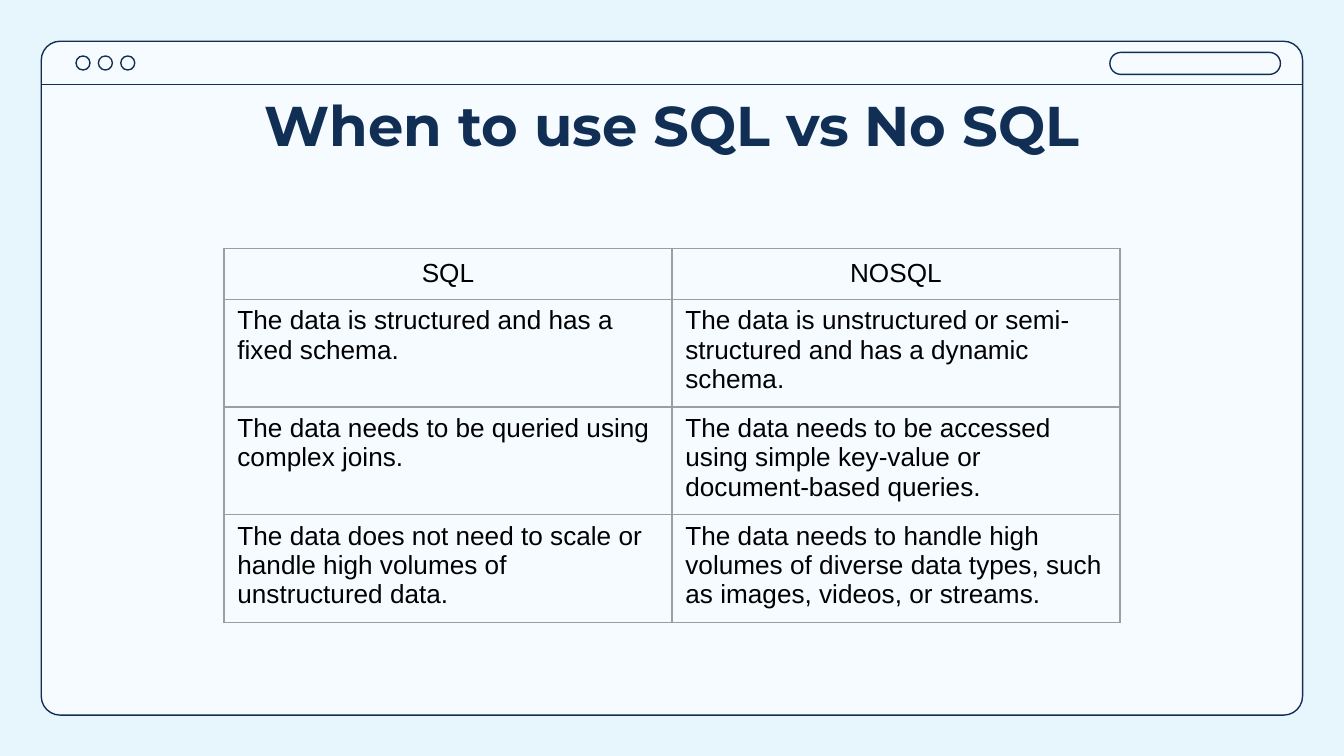
from lxml import etree
from pptx import Presentation
from pptx.dml.color import RGBColor
from pptx.enum.shapes import MSO_CONNECTOR, MSO_SHAPE
from pptx.enum.text import MSO_ANCHOR, PP_ALIGN
from pptx.oxml.ns import qn
from pptx.util import Pt

ROUNDED = MSO_SHAPE.ROUNDED_RECTANGLE
OVAL = MSO_SHAPE.OVAL
STRAIGHT = MSO_CONNECTOR.STRAIGHT
TOP, MIDDLE = MSO_ANCHOR.TOP, MSO_ANCHOR.MIDDLE
LEFT, CENTER = PP_ALIGN.LEFT, PP_ALIGN.CENTER

NAVY = "112E54"
SKY = "E6F6FC"
PANEL = "F5FBFF"
GRID = "9E9E9E"
BLACK = "000000"
LINE_WIDTH = 0.75

COMPARISON = [
    ("SQL", "NOSQL"),
    ("The data is structured and has a fixed schema.",
     "The data is unstructured or semi-structured and has a dynamic schema."),
    ("The data needs to be queried using complex joins.",
     "The data needs to be accessed using simple key-value or document-based queries."),
    ("The data does not need to scale or handle high volumes of unstructured data.",
     "The data needs to handle high volumes of diverse data types, such as images, videos, or streams."),
]


def color(hex_value):
    return RGBColor.from_string(hex_value)


def add_outlined(slide, preset, left, top, width, height, fill=None, rounding=None):
    shape = slide.shapes.add_shape(preset, Pt(left), Pt(top), Pt(width), Pt(height))
    shape.shadow.inherit = False
    if fill:
        shape.fill.solid()
        shape.fill.fore_color.rgb = color(fill)
    else:
        shape.fill.background()
    shape.line.color.rgb = color(NAVY)
    shape.line.width = Pt(LINE_WIDTH)
    if rounding is not None:
        shape.adjustments[0] = rounding


def add_rule(slide, left, right, y):
    rule = slide.shapes.add_connector(STRAIGHT, Pt(left), Pt(y), Pt(right), Pt(y))
    rule.line.color.rgb = color(NAVY)
    rule.line.width = Pt(LINE_WIDTH)
    etree.SubElement(rule._element.spPr, qn("a:effectLst"))


def add_browser_window(slide):
    add_outlined(slide, ROUNDED, 22.1, 22.1, 675.7, 361, PANEL, 0.028)
    for index in range(3):
        add_outlined(slide, OVAL, 40.7 + 12 * index, 30, 7.5, 7.5)
    add_outlined(slide, ROUNDED, 594.6, 28.1, 91.4, 11.8, rounding=0.5)
    add_rule(slide, 22.1, 697.8, 45.2)


def write(frame, text, font_name, size, hex_value, align, bold=False):
    paragraph = frame.paragraphs[0]
    paragraph.alignment = align
    run = paragraph.add_run()
    run.text = text
    run.font.name = font_name
    run.font.size = Pt(size)
    run.font.bold = bold
    run.font.color.rgb = color(hex_value)


def add_title(slide, text):
    frame = slide.shapes.add_textbox(Pt(56.7), Pt(41.2), Pt(606.6), Pt(45.1)).text_frame
    frame.word_wrap = True
    frame.vertical_anchor = TOP
    frame.margin_left = frame.margin_right = Pt(7.2)
    frame.margin_top = frame.margin_bottom = Pt(7.2)
    write(frame, text, "Montserrat", 30, NAVY, CENTER, bold=True)


def set_borders(cell):
    properties = cell._tc.get_or_add_tcPr()
    for position, side in enumerate(("a:lnL", "a:lnR", "a:lnT", "a:lnB")):
        border = etree.Element(qn(side), w=str(Pt(LINE_WIDTH)))
        fill = etree.SubElement(border, qn("a:solidFill"))
        etree.SubElement(fill, qn("a:srgbClr"), val=GRID)
        properties.insert(position, border)


def add_comparison(slide, rows):
    table = slide.shapes.add_table(
        len(rows), 2, Pt(120), Pt(133.1), Pt(480), Pt(190.5)).table
    table.first_row = table.horz_banding = False
    for row_index, texts in enumerate(rows):
        is_header = row_index == 0
        table.rows[row_index].height = Pt(27.3 if is_header else 54.4)
        for column_index, text in enumerate(texts):
            cell = table.cell(row_index, column_index)
            cell.fill.background()
            set_borders(cell)
            cell.vertical_anchor = MIDDLE if is_header else TOP
            write(cell.text_frame, text, "Arial", 14, BLACK,
                  CENTER if is_header else LEFT)


def main():
    presentation = Presentation()
    presentation.slide_width = Pt(720)
    presentation.slide_height = Pt(405)
    slide = presentation.slides.add_slide(presentation.slide_layouts[6])
    slide.background.fill.solid()
    slide.background.fill.fore_color.rgb = color(SKY)
    add_browser_window(slide)
    add_title(slide, "When to use SQL vs No SQL")
    add_comparison(slide, COMPARISON)
    presentation.save("out.pptx")


if __name__ == "__main__":
    main()
